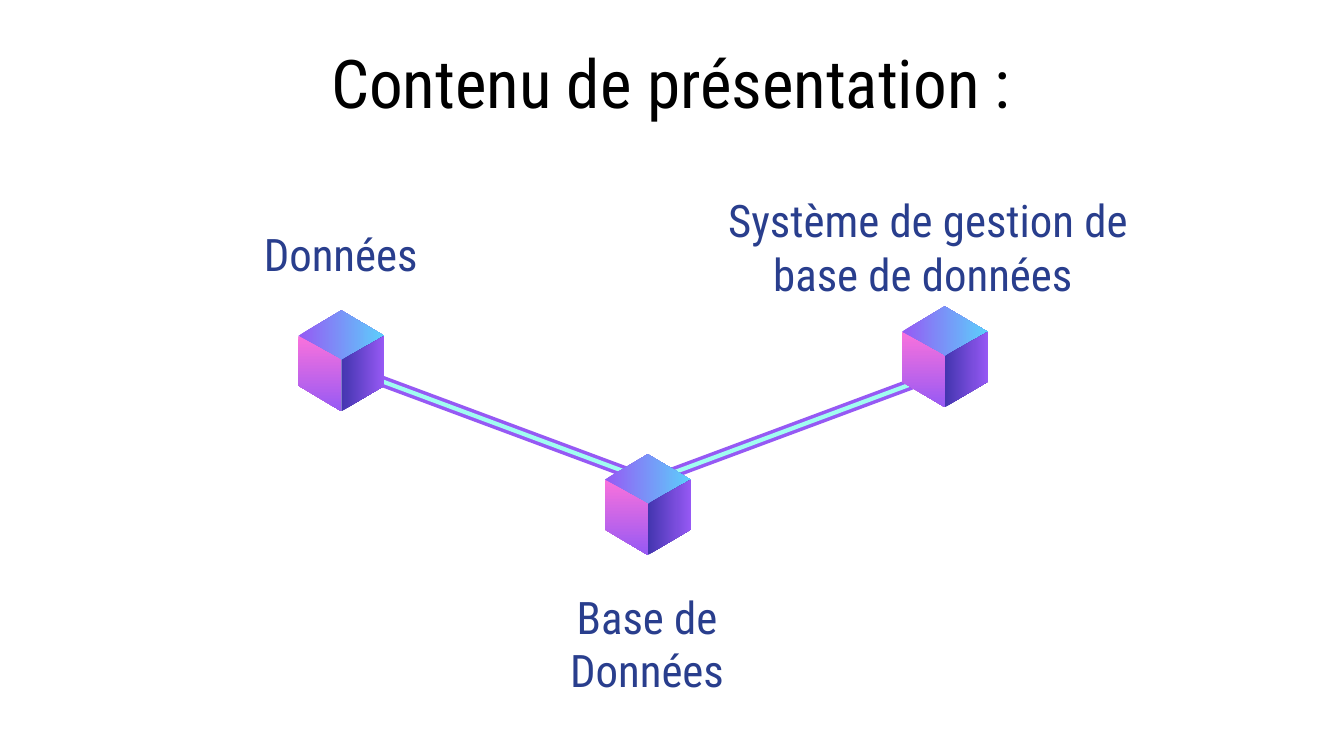
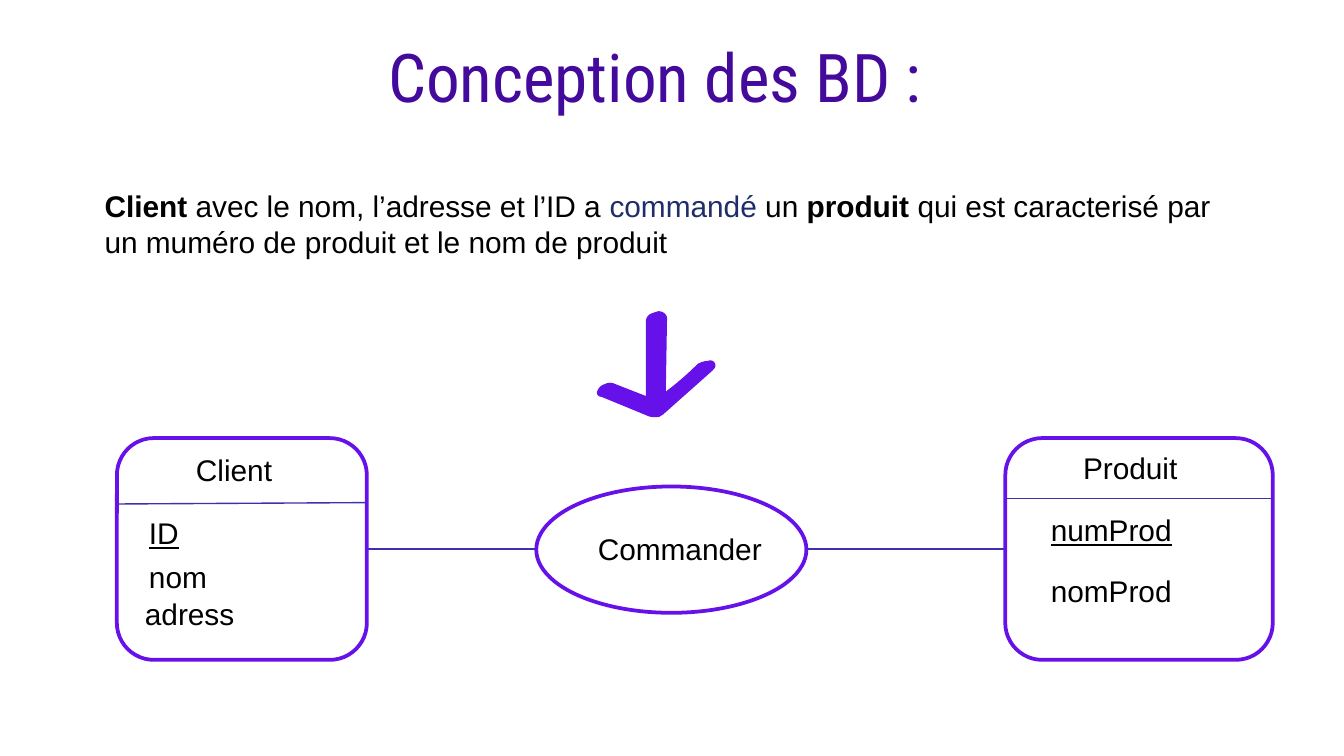
from dataclasses import dataclass
from itertools import pairwise
from typing import NamedTuple

from lxml.etree import SubElement
from pptx import Presentation
from pptx.dml.color import RGBColor
from pptx.enum.shapes import MSO_CONNECTOR, MSO_SHAPE
from pptx.enum.text import MSO_ANCHOR, MSO_AUTO_SIZE, PP_ALIGN
from pptx.oxml.ns import qn
from pptx.shapes.autoshape import Shape
from pptx.shapes.connector import Connector
from pptx.slide import Slide
from pptx.util import Inches, Pt

Point = tuple[float, float]


@dataclass(frozen=True)
class Theme:
    heading_font: str = "Roboto Condensed"
    body_font: str = "Arial"
    title_size: int = 36
    label_size: int = 24
    body_size: int = 16
    outline_width: float = 2
    rule_width: float = 0.75
    rail_width: float = 6
    rail_core_width: float = 2.25
    white: str = "FFFFFF"
    black: str = "000000"
    title_purple: str = "440A9C"
    label_blue: str = "293E8D"
    verb_blue: str = "1F2E6A"
    outline: str = "6610EA"
    rule: str = "3F31AE"
    violet: str = "9659F4"
    mint: str = "A0FDF1"
    sky: str = "5CCFFB"
    pink: str = "FA72DC"
    indigo: str = "4335AF"


THEME = Theme()


class Box(NamedTuple):
    left: float
    top: float
    width: float
    height: float


class Span(NamedTuple):
    text: str
    color: str = THEME.black
    bold: bool = False
    underline: bool = False


class Topic(NamedTuple):
    text: str
    label: Box
    cube_top: Point


class Attribute(NamedTuple):
    text: str
    left: float
    top: float
    is_key: bool = False


class Entity(NamedTuple):
    name: Attribute
    frame: Box
    divider: tuple[float, float]
    attributes: list[Attribute]


TOPICS = [
    Topic("Données", Box(1.51, 1.75, 2.05, 0.28), (2.54, 2.31)),
    Topic("Base de Données", Box(3.68, 4.56, 2.27, 0.45), (4.82, 3.38)),
    Topic("Système de gestion de base de données ", Box(5.14, 1.63, 3.53, 0.41), (7.03, 2.28)),
]
RAILS = [((6.91, 2.81), (4.76, 3.61)), ((2.77, 2.81), (4.92, 3.61))]

STATEMENT = [
    Span("Client", bold=True),
    Span(" avec le nom, l’adresse et l’ID a "),
    Span("commandé ", THEME.verb_blue),
    Span("un "),
    Span("produit", bold=True),
    Span(" qui est caracterisé par un muméro de produit et le nom de produit"),
]
CLIENT = Entity(
    Attribute("Client", 1.36, 3.31), Box(0.87, 3.26, 1.86, 1.65), (3.75, 3.74),
    [Attribute("ID", 1.01, 3.78, True), Attribute("nom", 1.01, 4.11), Attribute("adress", 0.98, 4.38)],
)
PRODUCT = Entity(
    Attribute("Produit", 7.96, 3.3), Box(7.48, 3.26, 1.99, 1.65), (3.71, 3.71),
    [Attribute("numProd", 7.72, 3.76, True), Attribute("nomProd", 7.72, 4.21)],
)
ORDER = Box(3.99, 3.62, 2.01, 0.94)
ORDER_NAME = Attribute("Commander", 4.35, 3.9)

ARROW_START = (4.9, 2.33)
ARROW_CURVES = [
    [(4.93, 2.33), (4.95, 2.35), (4.95, 2.37)],
    [(4.94, 2.94)],
    [(4.96, 2.93), (4.96, 2.93), (4.97, 2.92)],
    [(5.05, 2.86), (5.13, 2.79), (5.2, 2.72)],
    [(5.22, 2.71), (5.24, 2.7), (5.27, 2.7)],
    [(5.29, 2.69), (5.31, 2.7), (5.31, 2.72)],
    [(5.31, 2.73), (5.3, 2.74), (5.29, 2.75)],
    [(4.93, 3.07)],
    [(4.92, 3.08), (4.91, 3.08), (4.9, 3.09)],
    [(4.87, 3.09)],
    [(4.85, 3.09), (4.84, 3.09), (4.82, 3.08)],
    [(4.48, 2.94)],
    [(4.46, 2.94), (4.45, 2.93), (4.46, 2.91)],
    [(4.47, 2.89), (4.48, 2.88), (4.51, 2.87)],
    [(4.53, 2.86), (4.55, 2.86), (4.57, 2.87)],
    [(4.8, 2.96)],
    [(4.82, 2.97)],
    [(4.82, 2.4)],
    [(4.82, 2.37), (4.83, 2.35), (4.87, 2.34)],
]


def rgb(color: str) -> RGBColor:
    return RGBColor.from_string(color)


def add_text(slide: Slide, box: Box, spans: list[Span], font: str, size: int) -> Shape:
    text_box = slide.shapes.add_textbox(*map(Inches, box))
    frame = text_box.text_frame
    frame.word_wrap = True
    for span in spans:
        run = frame.paragraphs[0].add_run()
        run.text = span.text
        run.font.name = font
        run.font.size = Pt(size)
        run.font.color.rgb = rgb(span.color)
        run.font.bold = span.bold
        run.font.underline = span.underline
    return text_box


def add_heading(slide: Slide, box: Box, text: str, size: int, color: str) -> None:
    heading = add_text(slide, box, [Span(text, color)], THEME.heading_font, size)
    frame = heading.text_frame
    frame.vertical_anchor = MSO_ANCHOR.MIDDLE
    frame.margin_top = frame.margin_bottom = Inches(0.1)
    frame.paragraphs[0].alignment = PP_ALIGN.CENTER


def add_title(slide: Slide, left: float, top: float, text: str, color: str) -> None:
    add_heading(slide, Box(left, top, 8.87, 0.56), text, THEME.title_size, color)


def add_body(slide: Slide, box: Box, spans: list[Span]) -> None:
    body = add_text(slide, box, spans, THEME.body_font, THEME.body_size)
    body.text_frame.auto_size = MSO_AUTO_SIZE.SHAPE_TO_FIT_TEXT


def add_attribute(slide: Slide, attribute: Attribute) -> None:
    box = Box(attribute.left, attribute.top, 1.51, 0.37)
    add_body(slide, box, [Span(attribute.text, underline=attribute.is_key)])


def add_line(slide: Slide, start: Point, end: Point, color: str, width: float) -> Connector:
    line = slide.shapes.add_connector(MSO_CONNECTOR.STRAIGHT, *map(Inches, start + end))
    line.line.color.rgb = rgb(color)
    line.line.width = Pt(width)
    SubElement(line._element.spPr, qn("a:effectLst"))
    return line


def add_outline(slide: Slide, points: list[Point]) -> Shape:
    start, *rest = [(Inches(x), Inches(y)) for x, y in points]
    builder = slide.shapes.build_freeform(*start)
    builder.add_line_segments(rest, close=True)
    outline = builder.convert_to_shape()
    outline.shadow.inherit = False
    return outline


def paint(shape: Shape, fill: str) -> None:
    shape.shadow.inherit = False
    shape.fill.solid()
    shape.fill.fore_color.rgb = rgb(fill)
    shape.line.color.rgb = rgb(THEME.outline)
    shape.line.width = Pt(THEME.outline_width)


def add_framed(slide: Slide, kind: MSO_SHAPE, box: Box) -> Shape:
    framed = slide.shapes.add_shape(kind, *map(Inches, box))
    paint(framed, THEME.white)
    return framed


def add_cube(slide: Slide, apex: Point) -> None:
    x, y = apex
    left, right = x - 0.32, x + 0.32
    shoulder, middle, foot, base = (y + drop for drop in (0.19, 0.37, 0.56, 0.75))
    faces = [
        ([(x, middle), (left, shoulder), (x, y), (right, shoulder)], THEME.violet, THEME.sky, 0),
        ([(left, shoulder), (left, foot), (x, base), (x, middle)], THEME.pink, THEME.violet, 270),
        ([(right, shoulder), (x, middle), (x, base), (right, foot)], THEME.indigo, THEME.violet, 0),
    ]
    for corners, first, last, angle in faces:
        face = add_outline(slide, corners)
        face.line.fill.background()
        face.fill.gradient()
        face.fill.gradient_angle = angle
        for stop, position, color in zip(face.fill.gradient_stops, (0, 1), (first, last)):
            stop.position = position
            stop.color.rgb = rgb(color)


def curve_points(start: Point, controls: list[Point], steps: int = 6) -> list[Point]:
    if len(controls) == 1:
        return controls
    points = []
    for step in range(1, steps + 1):
        t = step / steps
        weights = ((1 - t) ** 3, 3 * t * (1 - t) ** 2, 3 * t**2 * (1 - t), t**3)
        x, y = (sum(w * v for w, v in zip(weights, axis)) for axis in zip(start, *controls))
        points.append((x, y))
    return points


def add_down_arrow(slide: Slide) -> None:
    points = [ARROW_START]
    for before, controls in pairwise([[ARROW_START], *ARROW_CURVES]):
        points.extend(curve_points(before[-1], controls))
    paint(add_outline(slide, points), THEME.outline)


def add_entity(slide: Slide, entity: Entity) -> Shape:
    frame = add_framed(slide, MSO_SHAPE.ROUNDED_RECTANGLE, entity.frame)
    left, right = entity.frame.left, entity.frame.left + entity.frame.width
    start, end = entity.divider
    add_line(slide, (left, start), (right, end), THEME.rule, THEME.rule_width)
    for attribute in [entity.name, *entity.attributes]:
        add_attribute(slide, attribute)
    return frame


def build_contents(slide: Slide) -> None:
    for start, end in RAILS:
        add_line(slide, start, end, THEME.violet, THEME.rail_width)
        add_line(slide, start, end, THEME.mint, THEME.rail_core_width)
    add_title(slide, 0.56, 0.33, "Contenu de présentation :", THEME.black)
    for topic in TOPICS:
        add_cube(slide, topic.cube_top)
        add_heading(slide, topic.label, topic.text, THEME.label_size, THEME.label_blue)


def build_design(slide: Slide) -> None:
    add_title(slide, 0.44, 0.28, "Conception des BD :", THEME.title_purple)
    add_body(slide, Box(0.68, 1.35, 8.64, 0.64), STATEMENT)
    add_down_arrow(slide)
    client = add_entity(slide, CLIENT)
    product = add_entity(slide, PRODUCT)
    add_framed(slide, MSO_SHAPE.OVAL, ORDER)
    add_attribute(slide, ORDER_NAME)
    axis = CLIENT.frame.top + CLIENT.frame.height / 2
    order_left, order_right = (ORDER.left, axis), (ORDER.left + ORDER.width, axis)
    client_side = (CLIENT.frame.left + CLIENT.frame.width, axis)
    product_side = (PRODUCT.frame.left, axis)
    client_link = add_line(slide, client_side, order_left, THEME.rule, THEME.rule_width)
    client_link.begin_connect(client, 3)
    product_link = add_line(slide, order_right, product_side, THEME.rule, THEME.rule_width)
    product_link.end_connect(product, 1)


def main() -> None:
    deck = Presentation()
    deck.slide_width = Inches(10)
    deck.slide_height = Inches(10) * 9 // 16
    for build in (build_contents, build_design):
        build(deck.slides.add_slide(deck.slide_layouts[6]))
    deck.save("out.pptx")


if __name__ == "__main__":
    main()
